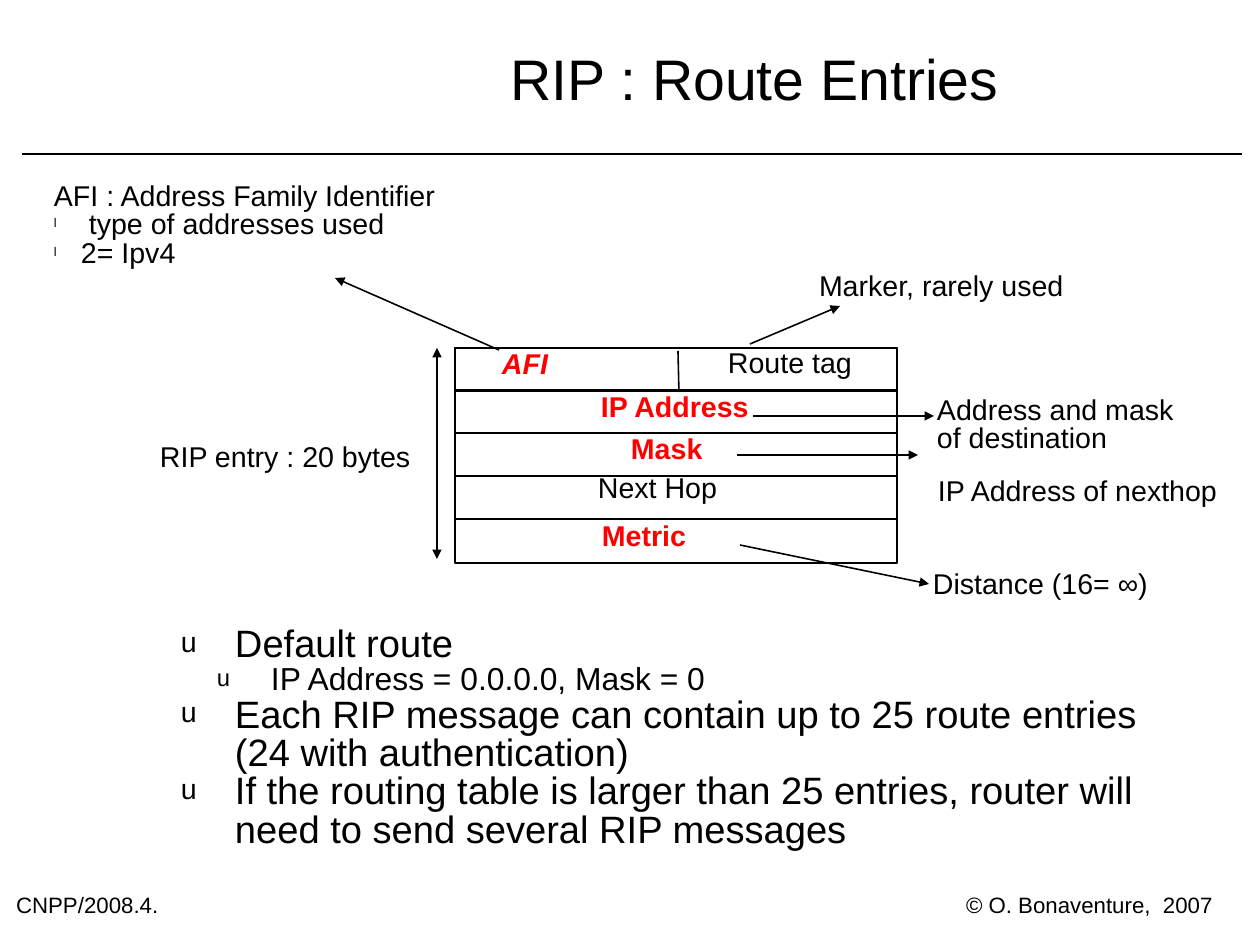
import dataclasses

import lxml.etree
import pptx
import pptx.dml.color
import pptx.enum.shapes
import pptx.enum.text
import pptx.oxml.ns
import pptx.util

EMU_PER_PX = 8000


@dataclasses.dataclass(frozen=True)
class Theme:
    font: str = "Arial"
    ink: str = "000000"
    accent: str = "FF0000"
    title: int = 36
    body: int = 24
    detail: int = 20
    label: int = 18
    footer: int = 14
    line: int = 1
    spacing: float = 0.84


THEME = Theme()
LABEL = {"size": THEME.label}
FIELD = {"size": THEME.label, "bold": True, "color": THEME.accent}


def px(length):
    return pptx.util.Emu(length * EMU_PER_PX)


def rgb(value):
    return pptx.dml.color.RGBColor.from_string(value)


def add_child(parent, tag, **values):
    child = lxml.etree.SubElement(parent, pptx.oxml.ns.qn(tag))
    for name, value in values.items():
        child.set(name, str(value))
    return child


def add_bullet(para, char, percent, margin, hanging):
    properties = para._p.get_or_add_pPr()
    for name, value in {"marL": margin, "indent": -hanging}.items():
        properties.set(name, str(px(value)))
    color = add_child(properties, "a:buClr")
    add_child(color, "a:srgbClr", val=THEME.ink)
    add_child(properties, "a:buSzPct", val=percent * 1000)
    add_child(properties, "a:buFont", typeface=THEME.font)
    add_child(properties, "a:buChar", char=char)


def format_span(span, size, color=THEME.ink, **values):
    values = {"name": THEME.font, "size": pptx.util.Pt(size), **values}
    for name, value in values.items():
        setattr(span.font, name, value)
    span.font.color.rgb = rgb(color)


def add_text(page, area, paragraphs, wrap=False, centered=False):
    box = page.shapes.add_textbox(*map(px, area))
    frame = box.text_frame
    fit = pptx.enum.text.MSO_AUTO_SIZE
    anchor = pptx.enum.text.MSO_ANCHOR
    settings = {
        "margin_left": 0,
        "margin_top": 0,
        "margin_right": 0,
        "margin_bottom": 0,
        "word_wrap": wrap,
        "auto_size": fit.NONE if wrap else fit.SHAPE_TO_FIT_TEXT,
        "vertical_anchor": anchor.MIDDLE if centered else anchor.TOP,
    }
    for name, value in settings.items():
        setattr(frame, name, value)
    for index, (text, style, bullet) in enumerate(paragraphs):
        para = frame.add_paragraph() if index else frame.paragraphs[0]
        para.line_spacing = THEME.spacing
        if centered:
            para.alignment = pptx.enum.text.PP_ALIGN.CENTER
        if bullet:
            add_bullet(para, *bullet)
        span = para.add_run()
        span.text = text
        format_span(span, **style)


def add_label(page, area, text, style=LABEL):
    add_text(page, area, [(line, style, None) for line in text.split("\n")])


def add_frame(page, top, height):
    kind = pptx.enum.shapes.MSO_SHAPE.RECTANGLE
    frame = page.shapes.add_shape(kind, *map(px, (455, top, 442, height)))
    frame.shadow.inherit = False
    frame.fill.background()
    frame.line.color.rgb = rgb(THEME.ink)
    frame.line.width = pptx.util.Pt(THEME.line)


def add_line(page, start, end, ends=()):
    kind = pptx.enum.shapes.MSO_CONNECTOR.STRAIGHT
    line = page.shapes.add_connector(kind, *map(px, (*start, *end)))
    line.line.color.rgb = rgb(THEME.ink)
    line.line.width = pptx.util.Pt(THEME.line)
    outline = line.line._get_or_add_ln()
    for tag in ends:
        add_child(outline, tag, type="triangle")
    add_child(line._element.spPr, "a:effectLst")


def add_entry_table(page):
    add_frame(page, 348, 215)
    for top in (348, *range(390, 477, 43)):
        add_frame(page, top, 43)
    add_line(page, (678, 351), (679, 392))
    add_label(page, (502, 352, 52, 29), "AFI", {**FIELD, "italic": True})
    add_label(page, (728, 350, 127, 29), "Route tag")
    add_label(page, (601, 394, 152, 29), "IP Address", FIELD)
    add_label(page, (631, 437, 76, 29), "Mask", FIELD)
    add_label(page, (598, 475, 125, 29), "Next Hop")
    add_label(page, (602, 524, 88, 29), "Metric", FIELD)


def add_callouts(page):
    point = ("l", 44, 27, 27)
    add_text(page, (54, 183, 385, 87), [
        ("AFI : Address Family Identifier", LABEL, None),
        (" type of addresses used", LABEL, point),
        ("2= Ipv4", LABEL, point),
    ])
    add_label(page, (160, 444, 254, 29), "RIP entry : 20 bytes")
    add_label(page, (819, 273, 248, 29), "Marker, rarely used")
    add_label(page, (937, 397, 240, 57), "Address and mask\nof destination")
    add_label(page, (938, 479, 283, 29), "IP Address of nexthop")
    add_label(page, (933, 572, 218, 29), "Distance (16= ∞)")
    add_line(page, (437, 348), (437, 559), ("a:headEnd", "a:tailEnd"))
    for start, end in (
        ((499, 350), (335, 278)),
        ((750, 344), (840, 306)),
        ((737, 455), (918, 455)),
        ((753, 416), (934, 416)),
        ((740, 545), (929, 584)),
    ):
        add_line(page, start, end, ("a:tailEnd",))


def add_summary(page):
    body = {"size": THEME.body}
    detail = {"size": THEME.detail}
    main_point = ("u", 75, 135, 54)
    sub_point = ("u", 75, 171, 54)
    add_text(page, (100, 627, 1076, 317), [
        ("Default route", body, main_point),
        ("IP Address = 0.0.0.0, Mask = 0", detail, sub_point),
        ("Each RIP message can contain up to 25 route entries "
         "(24 with authentication)", body, main_point),
        ("If the routing table is larger than 25 entries, router will "
         "need to send several RIP messages", body, main_point),
    ], wrap=True)


def main():
    deck = pptx.Presentation()
    deck.slide_width, deck.slide_height = px(1260), px(945)
    page = deck.slides.add_slide(deck.slide_layouts[6])
    footer = {"size": THEME.footer}
    add_line(page, (22, 154), (1242, 154))
    add_label(page, (966, 896, 249, 23), "© O. Bonaventure,  2007", footer)
    add_label(page, (16, 896, 192, 27), "CNPP/2008.4.", footer)
    title = [("RIP : Route Entries", {"size": THEME.title}, None)]
    add_text(page, (330, 0, 849, 167), title, wrap=True, centered=True)
    add_summary(page)
    add_entry_table(page)
    add_callouts(page)
    deck.save("out.pptx")


if __name__ == "__main__":
    main()
